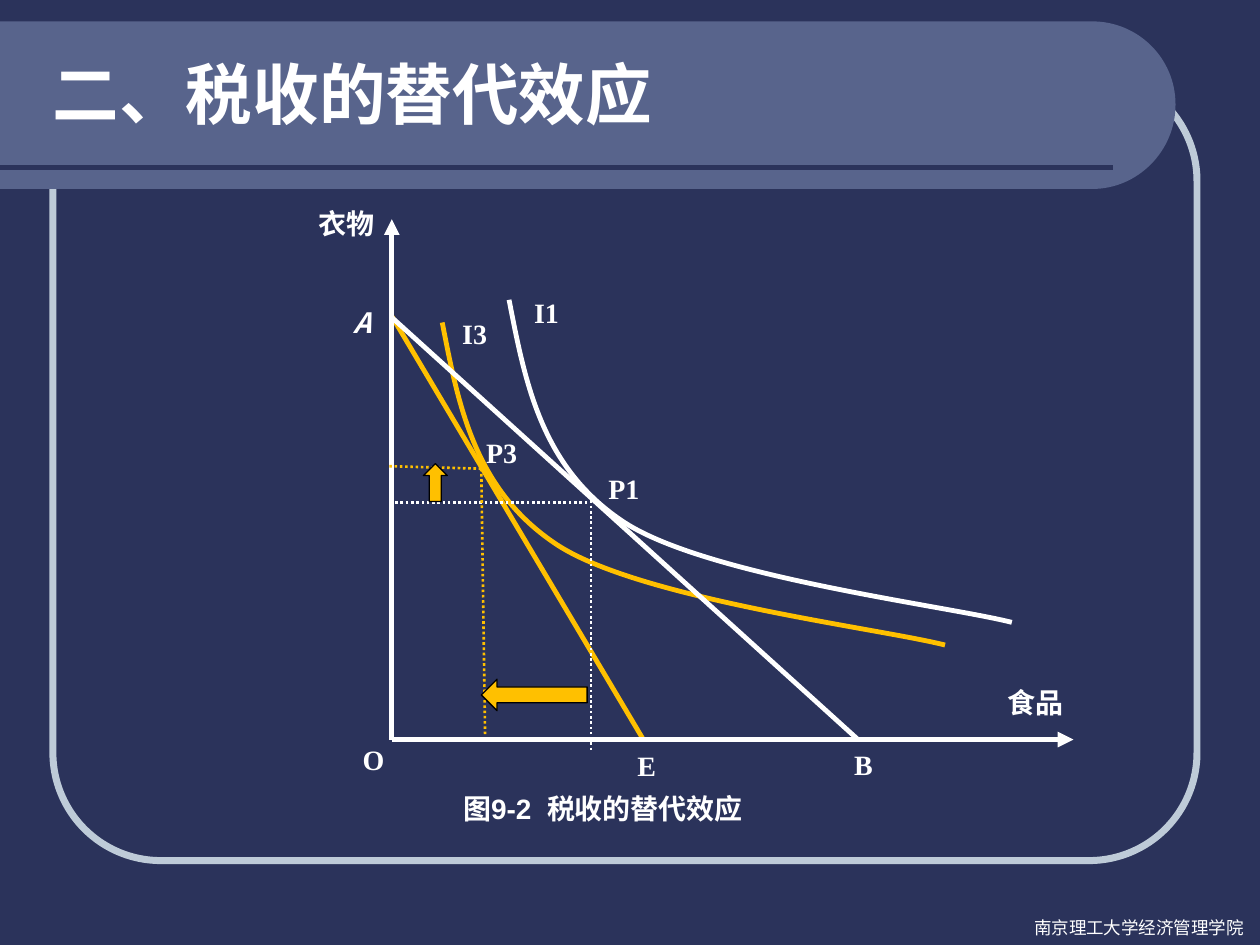
from dataclasses import dataclass
from typing import Optional

import lxml.etree
import pptx
import pptx.dml.color
import pptx.enum.dml
import pptx.enum.shapes
import pptx.enum.text
import pptx.oxml.ns
import pptx.util

COLS, ROWS = 100, 75
CELL = pptx.util.Inches(10) // COLS
COLORS = {"bg": "2B335B", "banner": "58648C", "frame": "BECBD8",
          "white": "FFFFFF", "gold": "FFC000", "black": "000000"}
SHAPE = pptx.enum.shapes.MSO_SHAPE
ALIGN = pptx.enum.text.PP_ALIGN
ANCHOR = pptx.enum.text.MSO_ANCHOR
qn = pptx.oxml.ns.qn

Point = tuple[float, float]


@dataclass
class Label:
    text: str
    col: float
    row: float
    cols: float = 8.5
    rows: float = 5.9
    size: float = 16
    font: str = "Times New Roman"
    bold: bool = True
    italic: Optional[bool] = None
    align: Optional[ALIGN] = ALIGN.JUSTIFY
    anchor: ANCHOR = ANCHOR.TOP


@dataclass
class Segment:
    start: Point
    end: Point
    color: str = "white"
    width: float = 2.75
    dotted: bool = False
    arrow: bool = False


@dataclass
class Block:
    kind: SHAPE
    col: float
    row: float
    cols: float
    rows: float


ORIGIN = (31.1, 58.7)
# A start point, then two control points and an end point for each curve
P1_CURVE = [(40.4, 23.8), (41.7, 30.5), (43, 37.2), (49.6, 41.5),
            (56.3, 45.8), (75.2, 48.1), (80.3, 49.4)]
P3_SHIFT = (-5.3, 1.8)
BANNER_END = [(86.7, 1.7), (90.3, 1.7), (93.3, 4.6), (93.3, 8.3),
              (93.3, 12), (90.3, 15), (86.7, 15)]

BACK_LABELS = [Label("I3", 35.7, 24.6), Label("P3", 37.6, 34.1),
               Label("E", 49.6, 58.9)]
FRONT_LABELS = [
    Label("I1", 41.4, 23), Label("P1", 47.3, 36.9), Label("B", 66.8, 58.8),
    Label("O", 27.8, 58.4), Label("衣物", 24.3, 15.9, rows=9.9),
    Label("食品", 79, 53.9, cols=14.2),
    Label("A", 27.1, 23.7, 4.7, 3.7, font="Noto Sans CJK SC", italic=True,
          align=None, anchor=ANCHOR.MIDDLE),
    Label("图9-2  税收的替代效应", 35.7, 62.3, 24.3, 3.7, font="Arial",
          align=ALIGN.CENTER, anchor=ANCHOR.MIDDLE),
]
FOOTER = Label("南京理工大学经济管理学院", 81.1, 72.3, 18.9, 2.7, size=10,
               font="Arial", bold=False, align=None)
TITLE = Label("二、税收的替代效应", 3.2, 3.7, 90, 7.3, size=38, font="Arial",
              align=ALIGN.LEFT, anchor=ANCHOR.MIDDLE)
TAXED_BUDGET = Segment((31.1, 25.1), (51, 58.6), "gold")
AXES_AND_BUDGET = [
    Segment(ORIGIN, (31.1, 17.4), width=3, arrow=True),
    Segment(ORIGIN, (85.2, 58.7), width=3, arrow=True),
    Segment((31.1, 25.2), (68.1, 58.7)),
]
GUIDES = [
    Segment((46.6, 39.9), (31.1, 39.9), width=1.5, dotted=True),
    Segment((46.9, 39.3), (46.9, 59.5), width=1.5, dotted=True),
    Segment((38.2, 37.2), (30.9, 37), "gold", 1.5, dotted=True),
    Segment((38.2, 37.2), (38.5, 58.4), "gold", 1.5, dotted=True),
]
SHIFT_ARROWS = [Block(SHAPE.LEFT_ARROW, 38.2, 53.9, 8.4, 2.5),
                Block(SHAPE.UP_ARROW, 33.6, 36.8, 1.9, 3)]


def grid(*cells: float) -> list[int]:
    """Turn grid columns or rows into EMU."""
    return [round(c * CELL) for c in cells]


def rgb(name: str) -> pptx.dml.color.RGBColor:
    return pptx.dml.color.RGBColor.from_string(COLORS[name])


def set_fill(fill, color: str) -> None:
    fill.solid()
    fill.fore_color.rgb = rgb(color)


def set_line(line, color: str, width: float) -> None:
    set_fill(line.fill, color)
    line.width = pptx.util.Pt(width)


def format_text(sp, label: Label) -> None:
    sp.left, sp.top, sp.width, sp.height = grid(
        label.col, label.row, label.cols, label.rows)
    tf = sp.text_frame
    tf.text = label.text
    tf.word_wrap = True
    tf.auto_size = pptx.enum.text.MSO_AUTO_SIZE.NONE
    tf.vertical_anchor = label.anchor
    p = tf.paragraphs[0]
    p.alignment = label.align
    p.font.name, p.font.size = label.font, pptx.util.Pt(label.size)
    p.font.bold, p.font.italic = label.bold, label.italic
    p.font.color.rgb = rgb("white")


def add_label(s, label: Label) -> None:
    format_text(s.shapes.add_textbox(0, 0, CELL, CELL), label)


def add_segment(s, seg: Segment) -> None:
    sp = s.shapes.add_connector(pptx.enum.shapes.MSO_CONNECTOR.STRAIGHT,
                                *grid(*seg.start, *seg.end))
    set_line(sp.line, seg.color, seg.width)
    if seg.dotted:
        sp.line.dash_style = pptx.enum.dml.MSO_LINE.ROUND_DOT
    spPr = sp.element.spPr
    if seg.arrow:
        lxml.etree.SubElement(spPr.find(qn("a:ln")), qn("a:tailEnd"), type="triangle")
    lxml.etree.SubElement(spPr, qn("a:effectLst"))


def add_path(s, points: list[Point], first: int, last: int, close: bool = False):
    """Draw an outline whose steps first to last are cubic curves, three steps each."""
    start, *rest = [grid(*pt) for pt in points]
    builder = s.shapes.build_freeform(*start)
    builder.add_line_segments(rest, close=close)
    sp = builder.convert_to_shape()
    sp.shadow.inherit = False
    steps = list(sp.element.iter(qn("a:lnTo")))[first:last]
    for i in range(0, len(steps), 3):
        curve = lxml.etree.Element(qn("a:cubicBezTo"))
        steps[i].addprevious(curve)
        for step in steps[i:i + 3]:
            curve.append(step[0])
            step.getparent().remove(step)
    return sp


def add_indifference_curve(s, color: str, shift: Point = (0, 0)) -> None:
    points = [(x + shift[0], y + shift[1]) for x, y in P1_CURVE]
    sp = add_path(s, points, 0, 6)
    sp.fill.background()
    set_line(sp.line, color, 2.75)


def add_block(s, block: Block):
    sp = s.shapes.add_shape(block.kind, *grid(block.col, block.row, block.cols, block.rows))
    sp.shadow.inherit = False
    return sp


def add_backdrop(s) -> None:
    set_fill(s.background.fill, "bg")
    frame = add_block(s, Block(SHAPE.ROUNDED_RECTANGLE, 4.2, 5.8, 90.8, 62.5))
    frame.adjustments[0] = 0.137
    frame.fill.background()
    set_line(frame.line, "frame", 4)
    banner = add_path(s, [(0, 1.7), *BANNER_END, (0, 15)], 1, 7, close=True)
    set_fill(banner.fill, "banner")
    banner.line.fill.background()
    add_segment(s, Segment((0, 13.3), (88.3, 13.3), "bg", 3))
    add_label(s, FOOTER)


def main() -> None:
    prs = pptx.Presentation()
    prs.slide_width, prs.slide_height = COLS * CELL, ROWS * CELL
    s = prs.slides.add_slide(prs.slide_layouts[5])
    add_backdrop(s)
    for label in BACK_LABELS:
        add_label(s, label)
    add_segment(s, TAXED_BUDGET)
    add_indifference_curve(s, "gold", P3_SHIFT)
    title = s.shapes.title
    s.shapes.element.append(title.element)
    format_text(title, TITLE)
    for seg in AXES_AND_BUDGET:
        add_segment(s, seg)
    add_indifference_curve(s, "white")
    for label in FRONT_LABELS:
        add_label(s, label)
    for seg in GUIDES:
        add_segment(s, seg)
    for block in SHIFT_ARROWS:
        sp = add_block(s, block)
        set_fill(sp.fill, "gold")
        set_line(sp.line, "black", 0.75)
    prs.save("out.pptx")


if __name__ == "__main__":
    main()
